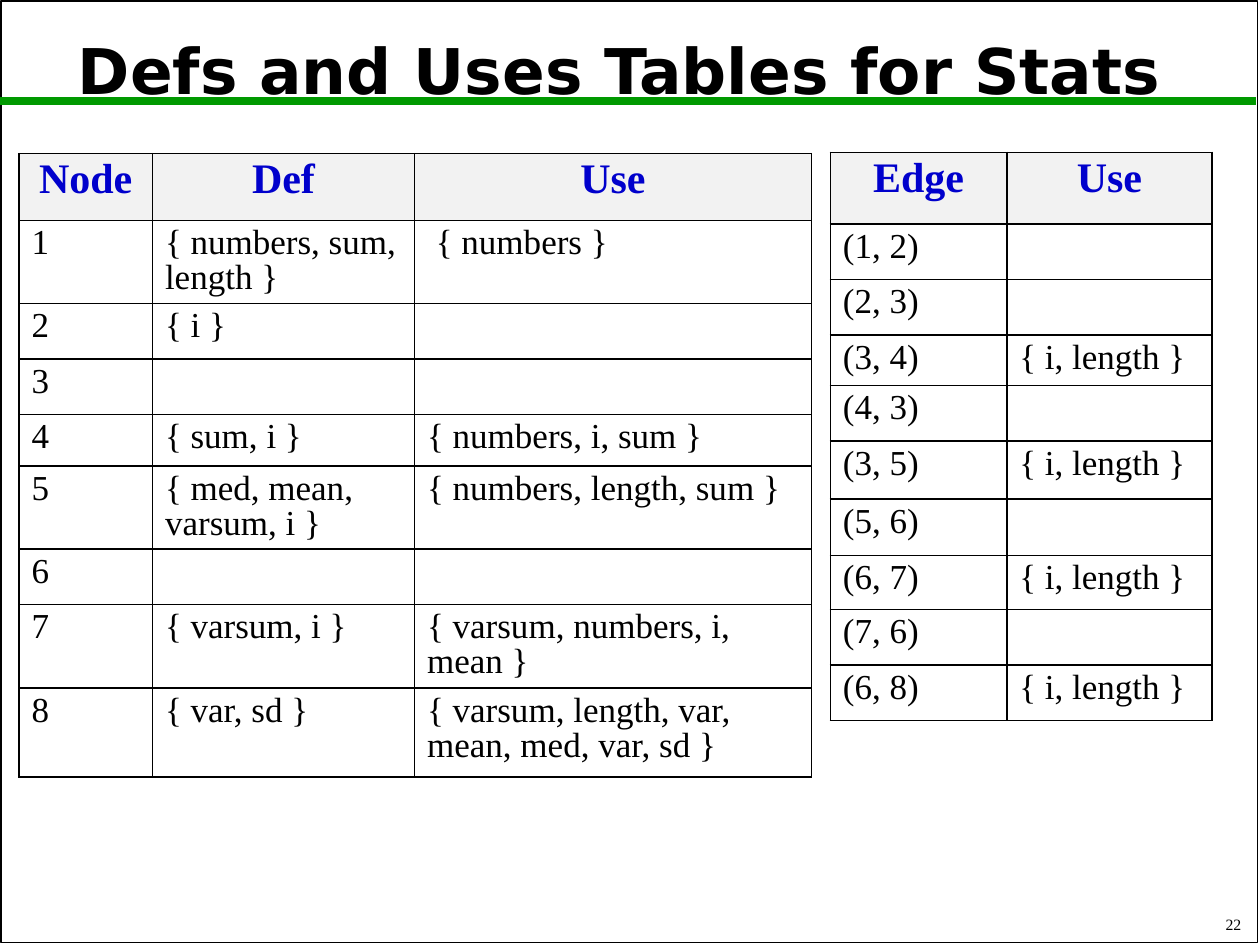
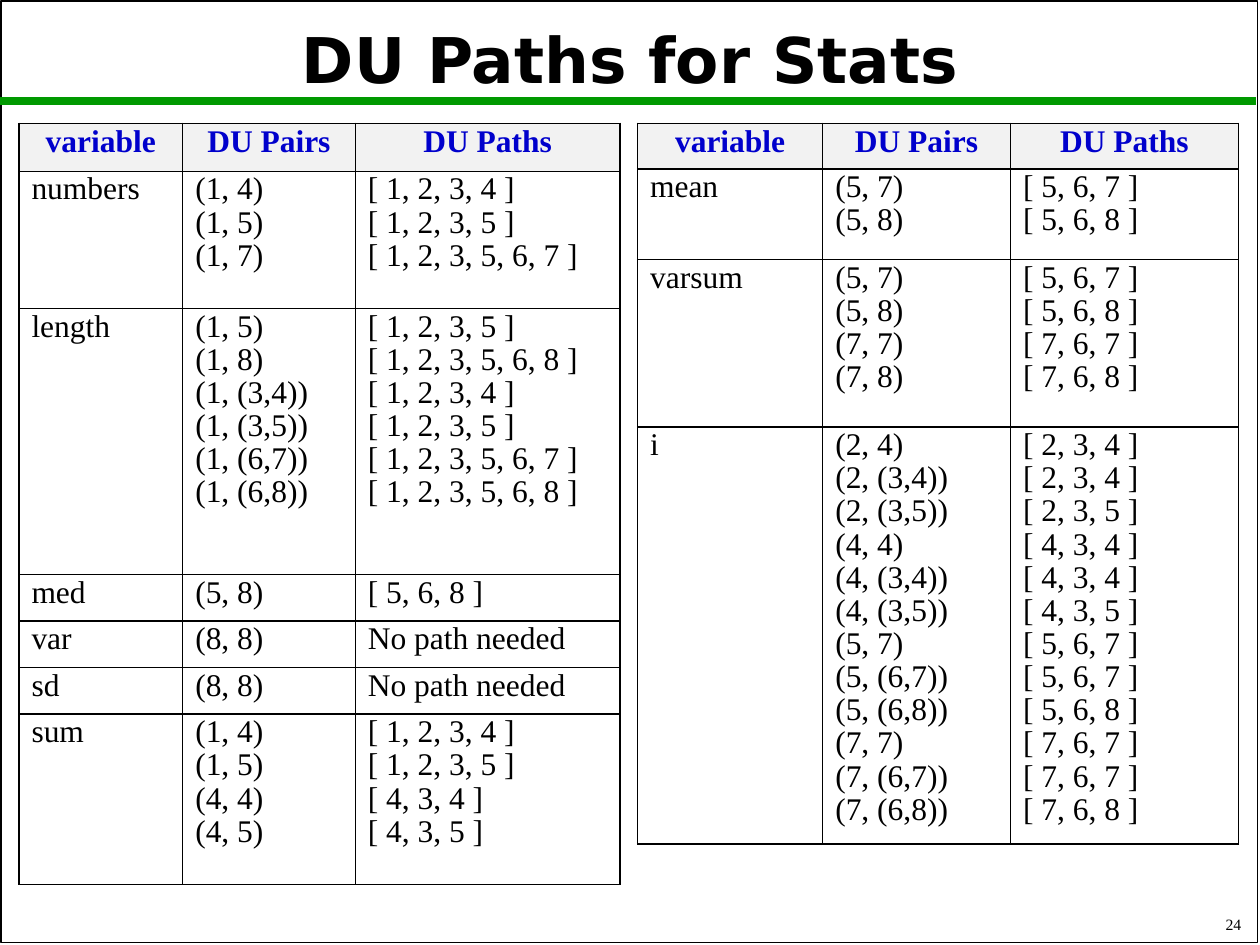
from lxml import etree
from pptx import Presentation
from pptx.dml.color import RGBColor
from pptx.enum.shapes import MSO_CONNECTOR, MSO_SHAPE
from pptx.enum.text import MSO_ANCHOR, PP_ALIGN
from pptx.oxml.ns import qn
from pptx.util import Inches, Pt

RECTANGLE = MSO_SHAPE.RECTANGLE
STRAIGHT = MSO_CONNECTOR.STRAIGHT
LEFT, CENTER, RIGHT = PP_ALIGN.LEFT, PP_ALIGN.CENTER, PP_ALIGN.RIGHT
TOP, MIDDLE, BOTTOM = MSO_ANCHOR.TOP, MSO_ANCHOR.MIDDLE, MSO_ANCHOR.BOTTOM

COLORS = {"ink": "000000", "heading": "0000CC", "header_fill": "F2F2F2",
          "rule": "009900"}
TITLE_FONT, BODY_FONT = "DejaVu Sans", "Times New Roman"
TITLE_ONLY = 5

# Text formats: font attributes and paragraph attributes
TITLE = ({"name": TITLE_FONT, "size": Pt(36), "bold": True},
         {"alignment": CENTER, "line_spacing": 0.9})
NUMBER = ({"name": BODY_FONT, "size": Pt(9), "bold": False}, {"alignment": RIGHT})
STATS_TABLE = {"head_size": 24, "body_size": 20, "spacing": 0.9}
PATHS_TABLE = {"head_size": 18, "body_size": 18, "spacing": 0.8}
LINE_GAP = Pt(3)

# Table contents
NODE_ROWS = [
    ("Node", "Def", "Use"),
    ("1", "{ numbers, sum, length }", " { numbers }"),
    ("2", "{ i }", ""),
    ("3", "", ""),
    ("4", "{ sum, i }", "{ numbers, i, sum }"),
    ("5", "{ med, mean, varsum, i }", "{ numbers, length, sum }"),
    ("6", "", ""),
    ("7", "{ varsum, i }", "{ varsum, numbers, i, mean }"),
    ("8", "{ var, sd }", "{ varsum, length, var, mean, med, var, sd }"),
]
EDGES = ["(1, 2)", "(2, 3)", "(3, 4)", "(4, 3)", "(3, 5)", "(5, 6)",
         "(6, 7)", "(7, 6)", "(6, 8)"]
USING_EDGES = {"(3, 4)", "(3, 5)", "(6, 7)", "(6, 8)"}
EDGE_ROWS = [("Edge", "Use")] + [
    (edge, "{ i, length }" if edge in USING_EDGES else "") for edge in EDGES]

NO_PATH = "No path needed"
LEFT_VARIABLES = {
    "numbers": [("(1, 4)", "[ 1, 2, 3, 4 ]"), ("(1, 5)", "[ 1, 2, 3, 5 ]"),
                ("(1, 7)", "[ 1, 2, 3, 5, 6, 7 ]")],
    "length": [("(1, 5)", "[ 1, 2, 3, 5 ]"), ("(1, 8)", "[ 1, 2, 3, 5, 6, 8 ]"),
               ("(1, (3,4))", "[ 1, 2, 3, 4 ]"), ("(1, (3,5))", "[ 1, 2, 3, 5 ]"),
               ("(1, (6,7))", "[ 1, 2, 3, 5, 6, 7 ]"),
               ("(1, (6,8))", "[ 1, 2, 3, 5, 6, 8 ]")],
    "med": [("(5, 8)", "[ 5, 6, 8 ]")],
    "var": [("(8, 8)", NO_PATH)],
    "sd": [("(8, 8)", NO_PATH)],
    "sum": [("(1, 4)", "[ 1, 2, 3, 4 ]"), ("(1, 5)", "[ 1, 2, 3, 5 ]"),
            ("(4, 4)", "[ 4, 3, 4 ]"), ("(4, 5)", "[ 4, 3, 5 ]")],
}
RIGHT_VARIABLES = {
    "mean": [("(5, 7)", "[ 5, 6, 7 ]"), ("(5, 8)", "[ 5, 6, 8 ]")],
    "varsum": [("(5, 7)", "[ 5, 6, 7 ]"), ("(5, 8)", "[ 5, 6, 8 ]"),
               ("(7, 7)", "[ 7, 6, 7 ]"), ("(7, 8)", "[ 7, 6, 8 ]")],
    "i": [("(2, 4)", "[ 2, 3, 4 ]"), ("(2, (3,4))", "[ 2, 3, 4 ]"),
          ("(2, (3,5))", "[ 2, 3, 5 ]"), ("(4, 4)", "[ 4, 3, 4 ]"),
          ("(4, (3,4))", "[ 4, 3, 4 ]"), ("(4, (3,5))", "[ 4, 3, 5 ]"),
          ("(5, 7)", "[ 5, 6, 7 ]"), ("(5, (6,7))", "[ 5, 6, 7 ]"),
          ("(5, (6,8))", "[ 5, 6, 8 ]"), ("(7, 7)", "[ 7, 6, 7 ]"),
          ("(7, (6,7))", "[ 7, 6, 7 ]"), ("(7, (6,8))", "[ 7, 6, 8 ]")],
}


def rgb(name):
    return RGBColor.from_string(COLORS[name])


def set_all(target, values):
    for name, value in values.items():
        setattr(target, name, value)


def write(frame, text, font, paragraph, color="ink"):
    """Fill a text frame, one paragraph for each line of text."""
    for index, line in enumerate(text.split("\n")):
        para = frame.add_paragraph() if index else frame.paragraphs[0]
        set_all(para, paragraph)
        if index:
            para.space_before = LINE_GAP
        if line:
            span = para.add_run()
            span.text = line
            set_all(span.font, font)
            span.font.color.rgb = rgb(color)


def set_frame(frame, anchor):
    set_all(frame, {"word_wrap": True, "vertical_anchor": anchor,
                    "margin_left": Inches(0.1), "margin_right": Inches(0.1),
                    "margin_top": Inches(0.05), "margin_bottom": Inches(0.05)})


def add_page(deck, title, title_box, number):
    page = deck.slides.add_slide(deck.slide_layouts[TITLE_ONLY])
    shapes = page.shapes

    # Page border and green rule
    border = shapes.add_shape(RECTANGLE, *map(Inches, (0.01, 0.01, 9.97, 7.47)))
    border.shadow.inherit = False
    border.fill.background()
    border.line.color.rgb = rgb("ink")
    border.line.width = Pt(1)
    rule = shapes.add_connector(STRAIGHT, *map(Inches, (0, 0.8, 9.97, 0.8)))
    rule.line.color.rgb = rgb("rule")
    rule.line.width = Pt(4.5)
    etree.SubElement(rule.element.spPr, qn("a:effectLst"))

    # Page number
    box = shapes.add_textbox(*map(Inches, (7.87, 7.17, 2.08, 0.29)))
    set_frame(box.text_frame, BOTTOM)
    write(box.text_frame, number, *NUMBER)

    # Title, in front of the rule
    heading = shapes.title
    heading.element.getparent().append(heading.element)
    set_all(heading, dict(zip(("left", "top", "width", "height"),
                              map(Inches, title_box))))
    set_frame(heading.text_frame, MIDDLE)
    write(heading.text_frame, title, *TITLE)
    return page


def add_borders(cell):
    properties = cell._tc.get_or_add_tcPr()
    for index, side in enumerate(("lnL", "lnR", "lnT", "lnB")):
        line = etree.Element(qn(f"a:{side}"), w=str(Pt(1)))
        fill = etree.SubElement(line, qn("a:solidFill"))
        etree.SubElement(fill, qn("a:srgbClr"), val=COLORS["ink"])
        properties.insert(index, line)


def add_grid(page, left, top, widths, heights, rows, style):
    """Place a table with a shaded header row."""
    shape = page.shapes.add_table(len(rows), len(widths), Inches(left), Inches(top),
                                  Inches(sum(widths)), Inches(sum(heights)))
    table = shape.table
    set_all(table, {"first_row": False, "horz_banding": False})
    for column, width in zip(table.columns, widths):
        column.width = Inches(width)
    for index, (height, texts) in enumerate(zip(heights, rows)):
        table.rows[index].height = Inches(height)
        header = index == 0
        size = style["head_size"] if header else style["body_size"]
        font = {"name": BODY_FONT, "size": Pt(size), "bold": header}
        paragraph = {"alignment": CENTER if header else LEFT,
                     "line_spacing": style["spacing"]}
        for cell, text in zip(table.rows[index].cells, texts):
            cell.vertical_anchor = TOP
            if header:
                cell.fill.solid()
                cell.fill.fore_color.rgb = rgb("header_fill")
            else:
                cell.fill.background()
            add_borders(cell)
            write(cell.text_frame, text, font, paragraph,
                  "heading" if header else "ink")


def variable_rows(variables):
    rows = [("variable", "DU Pairs", "DU Paths")]
    for variable, entries in variables.items():
        pairs, paths = zip(*entries)
        rows.append((variable, "\n".join(pairs), "\n".join(paths)))
    return rows


def add_defs_and_uses(deck):
    page = add_page(deck, "Defs and Uses Tables for Stats ",
                    (0.05, 0.11, 9.9, 0.95), "22")
    add_grid(page, 0.15, 1.22, (1.06, 2.08, 3.15),
             (0.53, 0.66, 0.44, 0.44, 0.41, 0.66, 0.44, 0.66, 0.71),
             NODE_ROWS, STATS_TABLE)
    add_grid(page, 6.59, 1.21, (1.4, 1.63),
             (0.57, 0.44, 0.44, 0.4, 0.44, 0.46, 0.45, 0.43, 0.44, 0.44),
             EDGE_ROWS, STATS_TABLE)


def add_du_paths(deck):
    page = add_page(deck, "DU Paths for Stats", (0.75, 0.11, 8.5, 0.79), "24")
    add_grid(page, 0.15, 0.98, (1.3, 1.37, 2.1),
             (0.38, 1.09, 2.11, 0.37, 0.37, 0.37, 1.35),
             variable_rows(LEFT_VARIABLES), PATHS_TABLE)
    add_grid(page, 5.06, 0.98, (1.47, 1.49, 1.81), (0.36, 0.72, 1.33, 3.31),
             variable_rows(RIGHT_VARIABLES), PATHS_TABLE)


def main():
    deck = Presentation()
    deck.slide_width, deck.slide_height = Inches(10), Inches(7.5)
    add_defs_and_uses(deck)
    add_du_paths(deck)
    deck.save("out.pptx")


if __name__ == "__main__":
    main()
